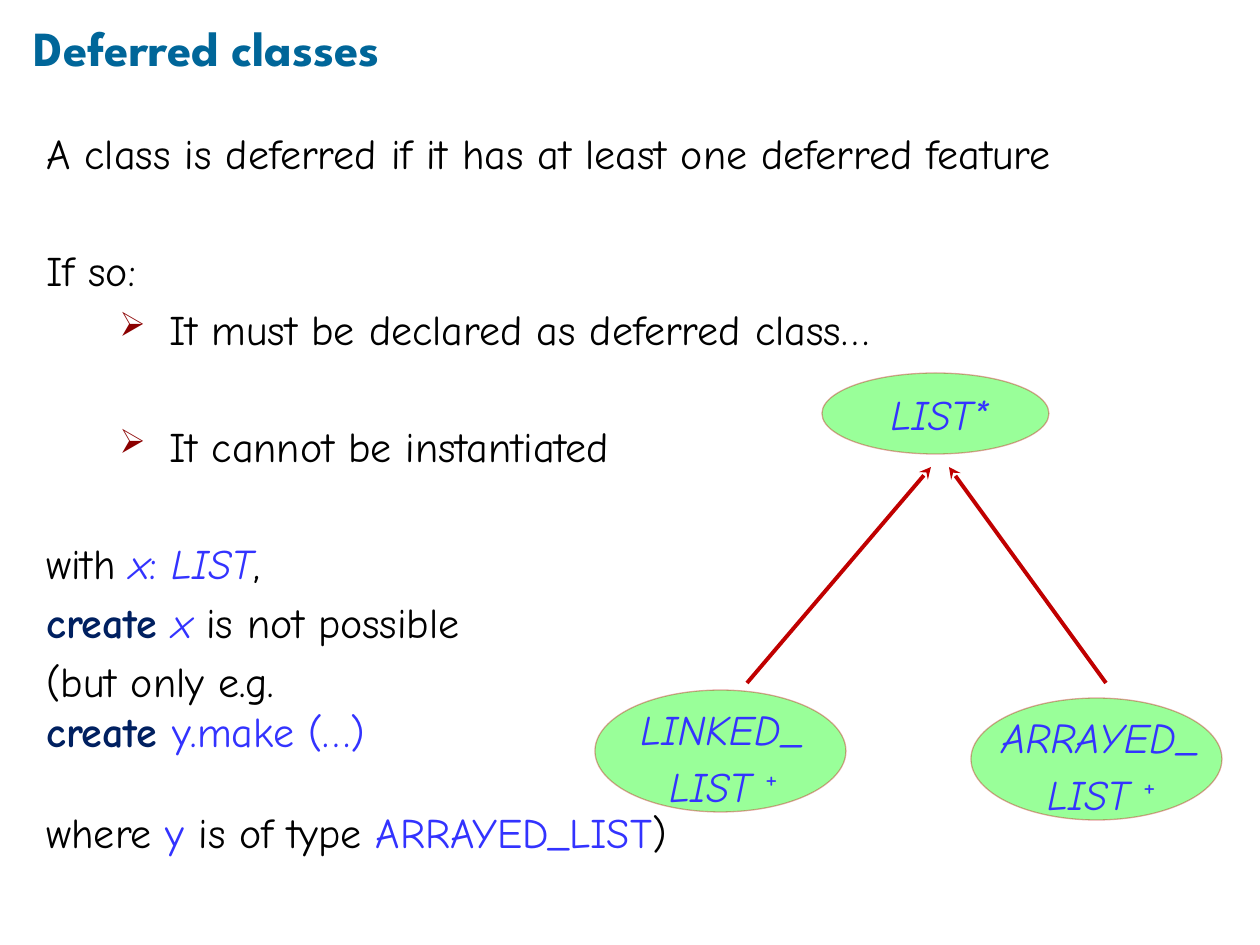
from lxml import etree
from pptx import Presentation
from pptx.dml.color import RGBColor
from pptx.enum.shapes import MSO_CONNECTOR, MSO_SHAPE
from pptx.enum.text import MSO_ANCHOR, MSO_AUTO_SIZE, PP_ALIGN
from pptx.oxml.ns import qn
from pptx.util import Pt

ELLIPSE, STRAIGHT = MSO_SHAPE.OVAL, MSO_CONNECTOR.STRAIGHT
LEFT, CENTER, MIDDLE = PP_ALIGN.LEFT, PP_ALIGN.CENTER, MSO_ANCHOR.MIDDLE
TITLE_ONLY = 5
PX = 914400 / 126


class Theme:
    title_font, body_font = "League Spartan", "Comic Neue"
    title_size, body_size, mark_size = 28, 24, 28
    title, text, code, keyword = "006699", "000000", "3333FF", "002060"
    bullet, node, edge = "8B0000", "99FF99", "C00000"
    outline_alpha = 34


# Run styles: colour, bold, italic
PLAIN = (Theme.text, False, False)
CODE = (Theme.code, False, False)
CODE_ITALIC = (Theme.code, False, True)
KEYWORD = (Theme.keyword, True, False)

# Space before a paragraph, in points
NONE, TIGHT, BREAK, SECTION = 0, 4.8, 28.6, 38.2

TITLE = "Deferred classes"
TITLE_BOX = (34, 16, 1095, 61)
BODY_BOX = (34, 121, 1184, 777)
BULLET_MARGIN, BULLET_HANG = 123, 50

# (space before, bulleted, runs)
BODY = [
    (NONE, False, [("A class is deferred if it has at least one deferred feature", PLAIN)]),
    (SECTION, False, [("If so:", PLAIN)]),
    (TIGHT, True, [("It must be declared as deferred class…", PLAIN)]),
    (SECTION, True, [("It cannot be instantiated", PLAIN)]),
    (SECTION, False, [("with ", PLAIN), ("x", CODE_ITALIC), (": ", CODE),
                      ("LIST", CODE_ITALIC), (",", PLAIN)]),
    (TIGHT, False, [("create ", KEYWORD), ("x ", CODE_ITALIC), ("is not possible", PLAIN)]),
    (TIGHT, False, [("(but only e.g.", PLAIN)]),
    (NONE, False, [("create ", KEYWORD), ("y.make (…)", CODE)]),
    (BREAK, False, [("where ", PLAIN), ("y", CODE), (" is of type ", PLAIN),
                    ("ARRAYED_LIST", CODE), (")", PLAIN)]),
]

# (box, name lines, superscript mark, left and top inset that offset the label)
CLASSES = [
    ((822, 373, 227, 81), ["LIST*"], "", (8, 0)),
    ((595, 690, 251, 122), ["LINKED_", "LIST "], "+", (6, 14)),
    ((971, 698, 251, 122), ["ARRAYED_", "LIST "], "+", (10, 14)),
]
INHERITANCE = [((747, 683), (931, 467)), ((1106, 683), (949, 467))]


def px(*values):
    return [round(value * PX) for value in values]


def add_run(paragraph, text, style, size=Theme.body_size, font=Theme.body_font):
    color, bold, italic = style
    run = paragraph.add_run()
    run.text = text
    run.font.name, run.font.size = font, Pt(size)
    run.font.bold, run.font.italic = bold, italic
    run.font.color.rgb = RGBColor.from_string(color)
    return run


def add_bullet(paragraph):
    props = paragraph._p.get_or_add_pPr()
    margin, hang = px(BULLET_MARGIN, BULLET_HANG)
    props.set("marL", str(margin))
    props.set("indent", str(-hang))
    color = etree.SubElement(props, qn("a:buClr"))
    etree.SubElement(color, qn("a:srgbClr"), val=Theme.bullet)
    etree.SubElement(props, qn("a:buSzPct"), val="80000")
    etree.SubElement(props, qn("a:buChar"), char="➢")


def add_title(slide):
    title = slide.shapes.title
    title.left, title.top, title.width, title.height = px(*TITLE_BOX)
    frame = title.text_frame
    frame.margin_left = frame.margin_right = frame.margin_top = frame.margin_bottom = 0
    frame.auto_size, frame.vertical_anchor = MSO_AUTO_SIZE.NONE, MIDDLE
    paragraph = frame.paragraphs[0]
    paragraph.alignment = LEFT
    add_run(paragraph, TITLE, (Theme.title, True, False), Theme.title_size, Theme.title_font)


def add_body(slide):
    frame = slide.shapes.add_textbox(*px(*BODY_BOX)).text_frame
    frame.word_wrap = True
    for index, (space, bulleted, runs) in enumerate(BODY):
        paragraph = frame.add_paragraph() if index else frame.paragraphs[0]
        if space:
            paragraph.space_before = Pt(space)
        if bulleted:
            add_bullet(paragraph)
        for text, style in runs:
            add_run(paragraph, text, style)


def add_class(slide, box, lines, mark, insets):
    node = slide.shapes.add_shape(ELLIPSE, *px(*box))
    node.shadow.inherit = False
    node.fill.solid()
    node.fill.fore_color.rgb = RGBColor.from_string(Theme.node)
    node.line.color.rgb = RGBColor.from_string(Theme.edge)
    node.line.width = Pt(0.75)
    outline = node.line._ln.find(".//" + qn("a:srgbClr"))
    etree.SubElement(outline, qn("a:alpha"), val=str(Theme.outline_alpha * 1000))

    frame = node.text_frame
    frame.word_wrap, frame.vertical_anchor = False, MIDDLE
    frame.margin_left, frame.margin_top = px(*insets)
    frame.margin_right = frame.margin_bottom = 0
    paragraph = frame.paragraphs[0]
    paragraph.alignment = CENTER
    for index, line in enumerate(lines):
        if index:
            paragraph.add_line_break()
        add_run(paragraph, line, CODE_ITALIC)
    if mark:
        run = add_run(paragraph, mark, CODE, Theme.mark_size)
        run._r.get_or_add_rPr().set("baseline", "30000")


def add_arrow(slide, start, end):
    arrow = slide.shapes.add_connector(STRAIGHT, *px(*start, *end))
    arrow.line.color.rgb = RGBColor.from_string(Theme.edge)
    arrow.line.width = Pt(2.25)
    etree.SubElement(arrow.line._ln, qn("a:tailEnd"), type="stealth")
    etree.SubElement(arrow._element.spPr, qn("a:effectLst"))


def main():
    deck = Presentation()
    deck.slide_width, deck.slide_height = px(1260, 945)
    slide = deck.slides.add_slide(deck.slide_layouts[TITLE_ONLY])
    add_title(slide)
    add_body(slide)
    for entry in CLASSES:
        add_class(slide, *entry)
    for start, end in INHERITANCE:
        add_arrow(slide, start, end)
    deck.save("out.pptx")


if __name__ == "__main__":
    main()
